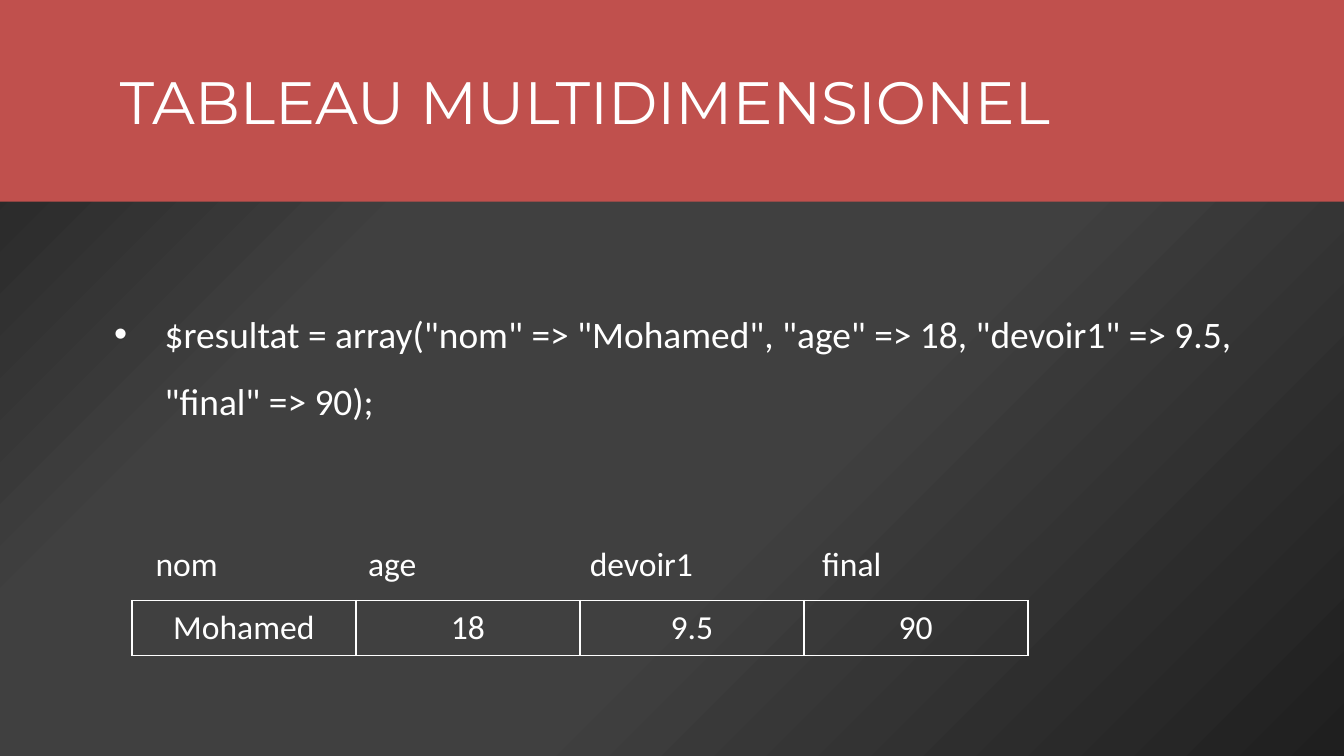
"""Build the slide on a multidimensional array with its one-row table."""
from dataclasses import dataclass

from pptx import Presentation
from pptx.dml.color import RGBColor
from pptx.enum.text import MSO_ANCHOR as Anchor, MSO_AUTO_SIZE as AutoSize, PP_ALIGN as Align
from pptx.oxml import parse_xml
from pptx.oxml.ns import nsdecls
from pptx.util import Pt


@dataclass(frozen=True)
class Theme:
    white: str = "FFFFFF"
    red: str = "C0504D"
    backdrop: tuple = ((0, "1F1F1F"), (40, "404040"), (70, "404040"), (100, "212121"))
    title_font: str = "Montserrat"
    body_font: str = "Calibri"
    title_size: float = 32
    body_size: float = 20
    table_size: float = 18


@dataclass(frozen=True)
class Field:
    name: str
    value: str
    label_left: float


THEME = Theme()
FIELDS = (
    Field("nom", "Mohamed", 76.3),
    Field("age", "18", 190.1),
    Field("devoir1", "9.5", 308.9),
    Field("final", "90", 433.4),
)
COLUMN_WIDTH, ROW_HEIGHT = 120, 29.5


def place(shape, left: float, top: float, width: float, height: float) -> None:
    shape.left, shape.top, shape.width, shape.height = map(Pt, (left, top, width, height))


def write(frame, text: str, *, size: float, font: str = THEME.body_font, align=Align.LEFT,
          anchor=Anchor.TOP, auto_size=None, margin: float = 0, indent: float = 0):
    frame.word_wrap = True
    frame.vertical_anchor = anchor
    if auto_size is not None:
        frame.auto_size = auto_size
    paragraph = frame.paragraphs[0]
    paragraph.alignment = align
    paragraph.space_before = Pt(0)
    properties = paragraph._p.get_or_add_pPr()
    properties.set("marL", str(Pt(margin)))
    properties.set("indent", str(Pt(indent)))
    run = paragraph.add_run()
    run.text = text
    run.font.name, run.font.size, run.font.bold = font, Pt(size), False
    run.font.color.rgb = RGBColor.from_string(THEME.white)
    return paragraph


def paint_background(slide) -> None:
    stops = "".join(
        f'<a:gs pos="{position * 1000}"><a:srgbClr val="{color}"/></a:gs>'
        for position, color in THEME.backdrop
    )
    background = parse_xml(
        f'<p:bg {nsdecls("p", "a")}><p:bgPr><a:gradFill rotWithShape="1">'
        f'<a:gsLst>{stops}</a:gsLst><a:path path="circle">'
        '<a:fillToRect l="100000" t="100000"/></a:path></a:gradFill>'
        "<a:effectLst/></p:bgPr></p:bg>"
    )
    slide._element.cSld.insert(0, background)


def add_title(slide) -> None:
    title = slide.shapes.title
    place(title, 0, 0, 720, 108)
    title.fill.solid()
    title.fill.fore_color.rgb = RGBColor.from_string(THEME.red)
    write(title.text_frame, "TABLEAU MULTIDIMENSIONEL", size=THEME.title_size,
          font=THEME.title_font, anchor=Anchor.MIDDLE, auto_size=AutoSize.NONE, margin=57)


def add_code(slide) -> None:
    body = slide.placeholders[1]
    place(body, 54, 151.2, 646.6, 76.3)
    code = '$resultat = array("nom" => "Mohamed", "age" => 18, "devoir1" => 9.5, "final" => 90);'
    paragraph = write(body.text_frame, code, size=THEME.body_size,
                      auto_size=AutoSize.SHAPE_TO_FIT_TEXT, margin=27, indent=-27)
    paragraph.line_spacing = 1.5
    paragraph.space_after = Pt(10)
    properties = paragraph._p.get_or_add_pPr()
    properties.append(parse_xml(f'<a:buFont {nsdecls("a")} typeface="Arial"/>'))
    properties.append(parse_xml(f'<a:buChar {nsdecls("a")} char="•"/>'))


def add_borders(cell) -> None:
    properties = cell._tc.get_or_add_tcPr()
    for index, side in enumerate(("lnL", "lnR", "lnT", "lnB")):
        properties.insert(index, parse_xml(
            f'<a:{side} {nsdecls("a")} w="{Pt(1)}"><a:solidFill>'
            f'<a:srgbClr val="{THEME.white}"/></a:solidFill></a:{side}>'
        ))


def add_values(slide) -> None:
    frame = slide.shapes.add_table(1, len(FIELDS), Pt(70.6), Pt(321.8),
                                   Pt(COLUMN_WIDTH * len(FIELDS)), Pt(ROW_HEIGHT))
    table = frame.table
    table.first_row = table.horz_banding = False
    for column, field in enumerate(FIELDS):
        cell = table.cell(0, column)
        cell.fill.background()
        cell.vertical_anchor = Anchor.MIDDLE
        write(cell.text_frame, field.value, size=THEME.table_size,
              align=Align.CENTER, anchor=Anchor.MIDDLE)
        add_borders(cell)


def add_label(slide, field: Field) -> None:
    label = slide.shapes.add_textbox(Pt(field.label_left), Pt(287.3), Pt(113), Pt(29))
    write(label.text_frame, field.name, size=THEME.table_size,
          auto_size=AutoSize.SHAPE_TO_FIT_TEXT)


def main() -> None:
    presentation = Presentation()
    presentation.slide_width, presentation.slide_height = Pt(720), Pt(405)
    slide = presentation.slides.add_slide(presentation.slide_layouts[1])
    paint_background(slide)
    add_title(slide)
    add_code(slide)
    add_values(slide)
    for field in FIELDS:
        add_label(slide, field)
    presentation.save("out.pptx")


main()
